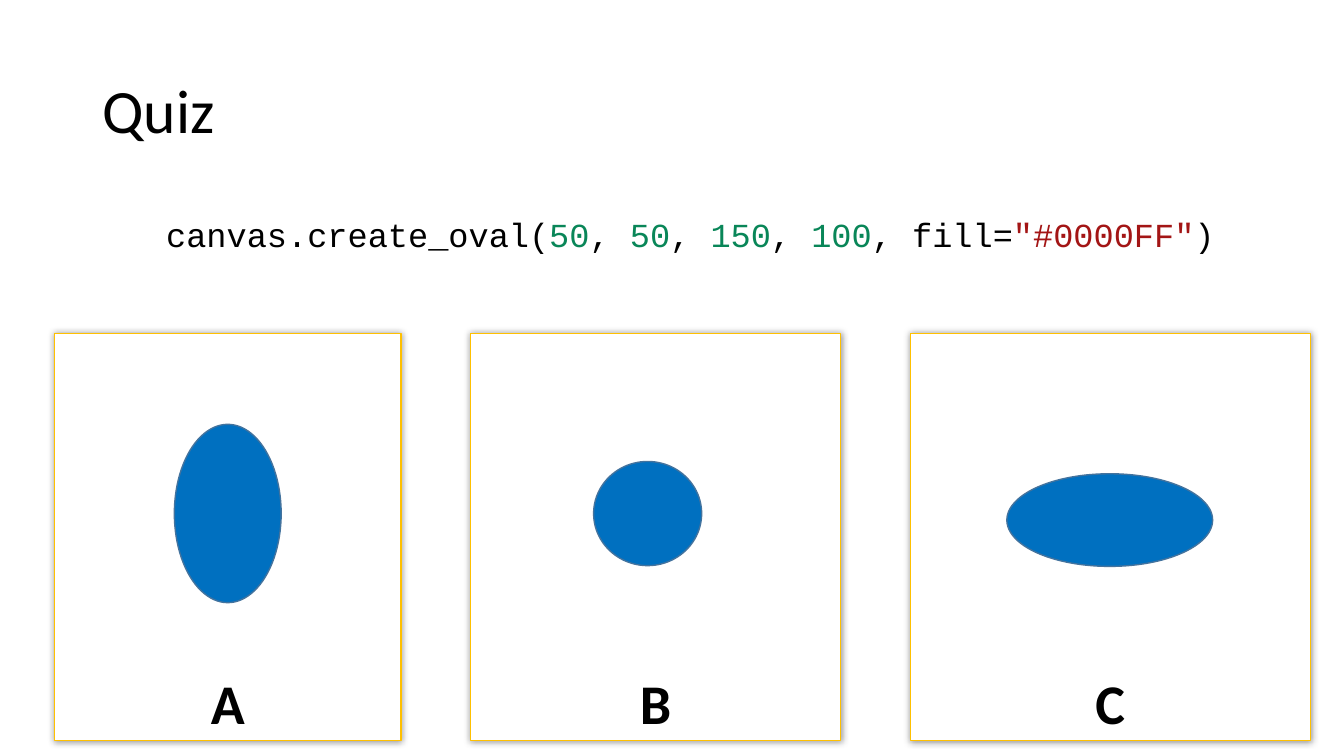
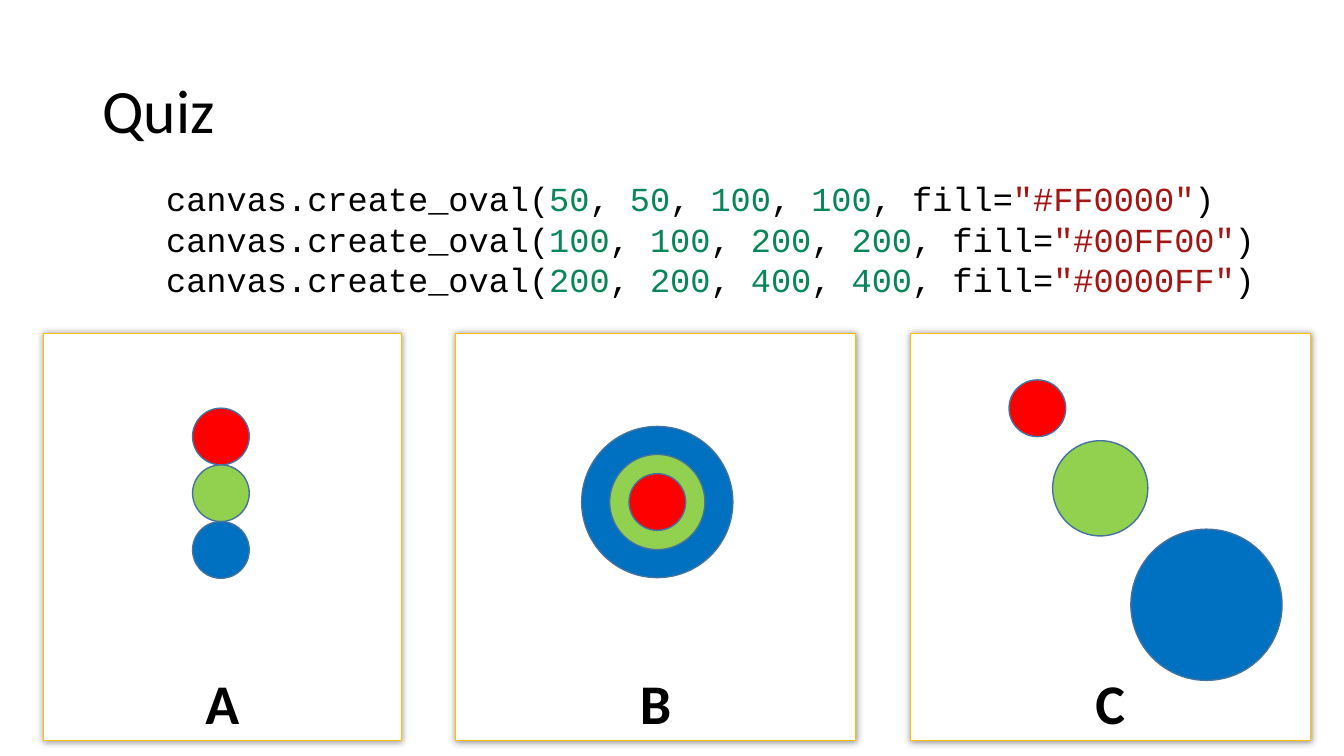
from lxml import etree
from pptx import Presentation
from pptx import util as u
from pptx.dml.color import RGBColor
from pptx.enum import shapes, text
from pptx.oxml import ns

COLORS = {
    "paper": "FFFFFF", "ink": "000000", "frame": "FFC000", "outline": "43739E",
    "red": "FF0000", "green": "92D050", "blue": "0070C0",
    "number": "098658", "string": "A31515",
}
PANEL_TOP, PANEL_HEIGHT = 238.3, 290.9
SMALL, MEDIUM, LARGE = 40.5, 68, 108


class QuizDeck:
    body_font = "Calibri"
    code_font = "Courier New"

    def __init__(self):
        self.deck = Presentation()
        self.deck.slide_width = u.Pt(960)
        self.deck.slide_height = u.Pt(540)
        self.page = None

    def color(self, name):
        return RGBColor.from_string(COLORS[name])

    def style(self, font, name, size, color="ink", bold=False):
        font.name = name
        font.size = u.Pt(size)
        font.bold = bold
        font.color.rgb = self.color(color)

    def new_page(self, title):
        self.page = self.deck.slides.add_slide(self.deck.slide_layouts[6])
        frame = self.text_frame(66.2, 28.8, 828, 104.4)
        frame.vertical_anchor = text.MSO_ANCHOR.MIDDLE
        para = frame.paragraphs[0]
        para.text = title
        para.line_spacing = 0.9
        self.style(para.font, self.body_font, 44)

    def text_frame(self, left, top, width, height):
        box = self.page.shapes.add_textbox(*map(u.Pt, (left, top, width, height)))
        box.text_frame.word_wrap = True
        return box.text_frame

    def code(self, top, height, calls):
        frame = self.text_frame(111.6, top, 796.3, height)
        frame.auto_size = text.MSO_AUTO_SIZE.SHAPE_TO_FIT_TEXT
        for index, (numbers, fill) in enumerate(calls):
            para = frame.add_paragraph() if index else frame.paragraphs[0]
            self.style(para.font, self.code_font, 24)
            self.span(para, "canvas.create_oval(")
            for number in numbers:
                self.span(para, str(number), "number")
                self.span(para, ",\u00a0")
            self.span(para, "fill=")
            self.span(para, f'"{fill}"', "string")
            self.span(para, ")")

    def span(self, para, words, color="ink"):
        span = para.add_run()
        span.text = words
        self.style(span.font, self.code_font, 24, color)

    def shape(self, kind, left, top, width, height, fill, line):
        shape = self.page.shapes.add_shape(kind, *map(u.Pt, (left, top, width, height)))
        shape.shadow.inherit = False
        shape.fill.solid()
        shape.fill.fore_color.rgb = self.color(fill)
        shape.line.color.rgb = self.color(line)
        shape.line.width = u.Pt(1)
        return shape

    def panel(self, letter, left, width):
        panel = self.shape(shapes.MSO_SHAPE.RECTANGLE, left, PANEL_TOP, width,
                           PANEL_HEIGHT, "paper", "frame")
        self.glow_shadow(panel)
        panel.text_frame.vertical_anchor = text.MSO_ANCHOR.BOTTOM
        para = panel.text_frame.paragraphs[0]
        para.text = letter
        para.alignment = text.PP_ALIGN.CENTER
        self.style(para.font, self.body_font, 40, bold=True)

    def glow_shadow(self, shape):
        effects = shape._element.spPr.find(ns.qn("a:effectLst"))
        shadow = etree.SubElement(effects, ns.qn("a:outerShdw"),
                                  blurRad=str(u.Pt(5)), dist="0", dir="0")
        tint = etree.SubElement(shadow, ns.qn("a:srgbClr"), val=COLORS["ink"])
        etree.SubElement(tint, ns.qn("a:alpha"), val="40000")

    def oval(self, center_x, center_y, width, height, fill):
        self.shape(shapes.MSO_SHAPE.OVAL, center_x - width / 2, center_y - height / 2,
                   width, height, fill, "outline")

    def circle(self, center_x, center_y, size, fill):
        self.oval(center_x, center_y, size, size, fill)

    def save(self):
        self.deck.save("out.pptx")


quiz = QuizDeck()

quiz.new_page("Quiz")
quiz.code(149, 36, [((50, 50, 150, 100), "#0000FF")])
for letter, left, panel_width, center_x, center_y, width, height in [
    ("A", 38.9, 247.7, 162.7, 366.8, 76.3, 127.4),
    ("B", 336.2, 264.2, 462.6, 366.8, 77.2, 74.4),
    ("C", 650.2, 285.8, 792.7, 371.5, 147, 66.2),
]:
    quiz.panel(letter, left, panel_width)
    quiz.oval(center_x, center_y, width, height, "blue")

quiz.new_page("Quiz")
quiz.code(123.8, 94.3, [
    ((50, 50, 100, 100), "#FF0000"),
    ((100, 100, 200, 200), "#00FF00"),
    ((200, 200, 400, 400), "#0000FF"),
])

quiz.panel("A", 31, 255.6)
for row, fill in enumerate(("red", "green", "blue")):
    quiz.circle(157.8, 311.8 + row * SMALL, SMALL, fill)

quiz.panel("B", 325.4, 285.8)
for size, fill in ((LARGE, "blue"), (MEDIUM, "green"), (SMALL, "red")):
    quiz.circle(469.5, 358.6, size, fill)

quiz.panel("C", 650.2, 285.8)
for center_x, center_y, size, fill in [
    (861.8, 432, LARGE, "blue"),
    (785.9, 348.8, MEDIUM, "green"),
    (741, 291.6, SMALL, "red"),
]:
    quiz.circle(center_x, center_y, size, fill)

quiz.save()
